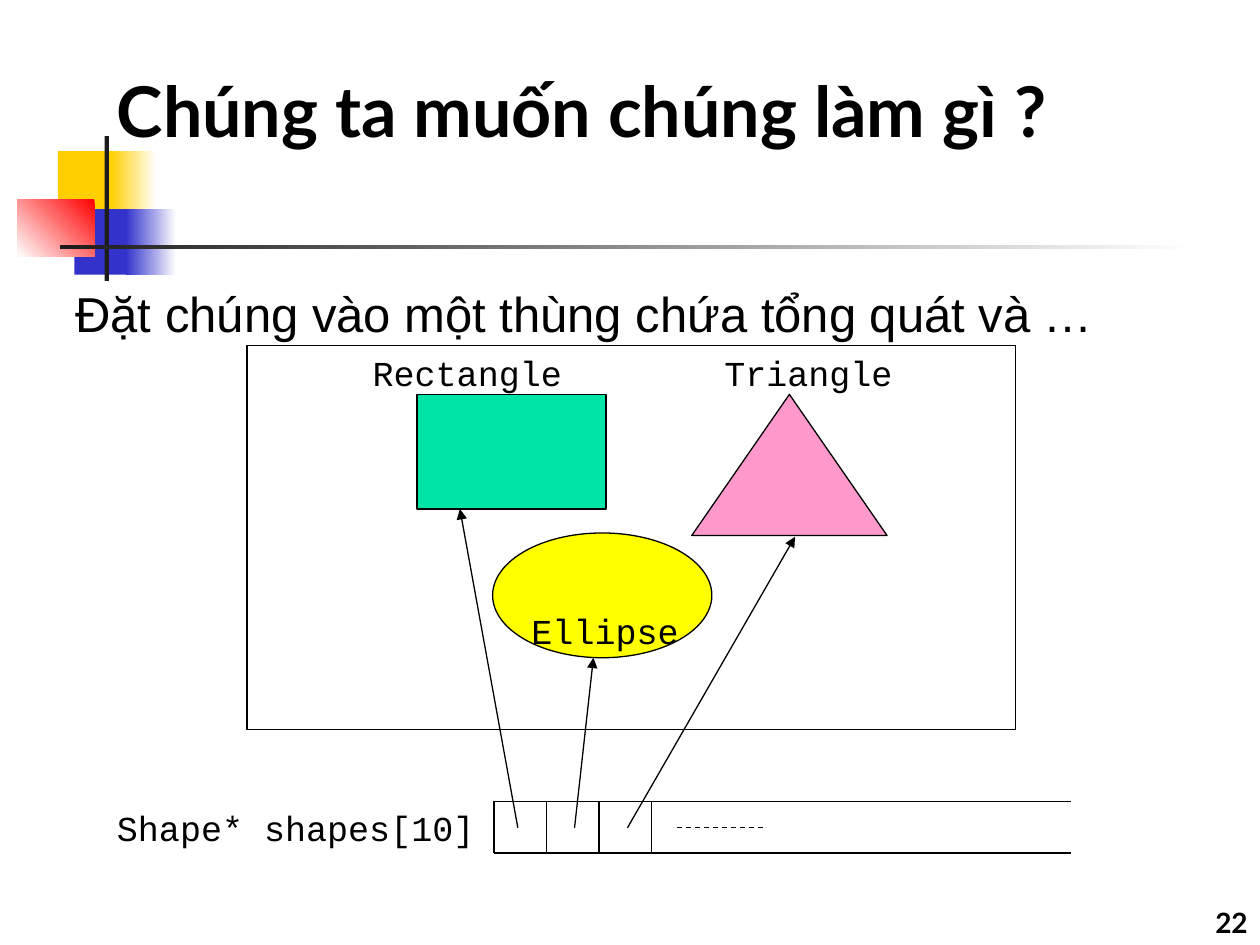
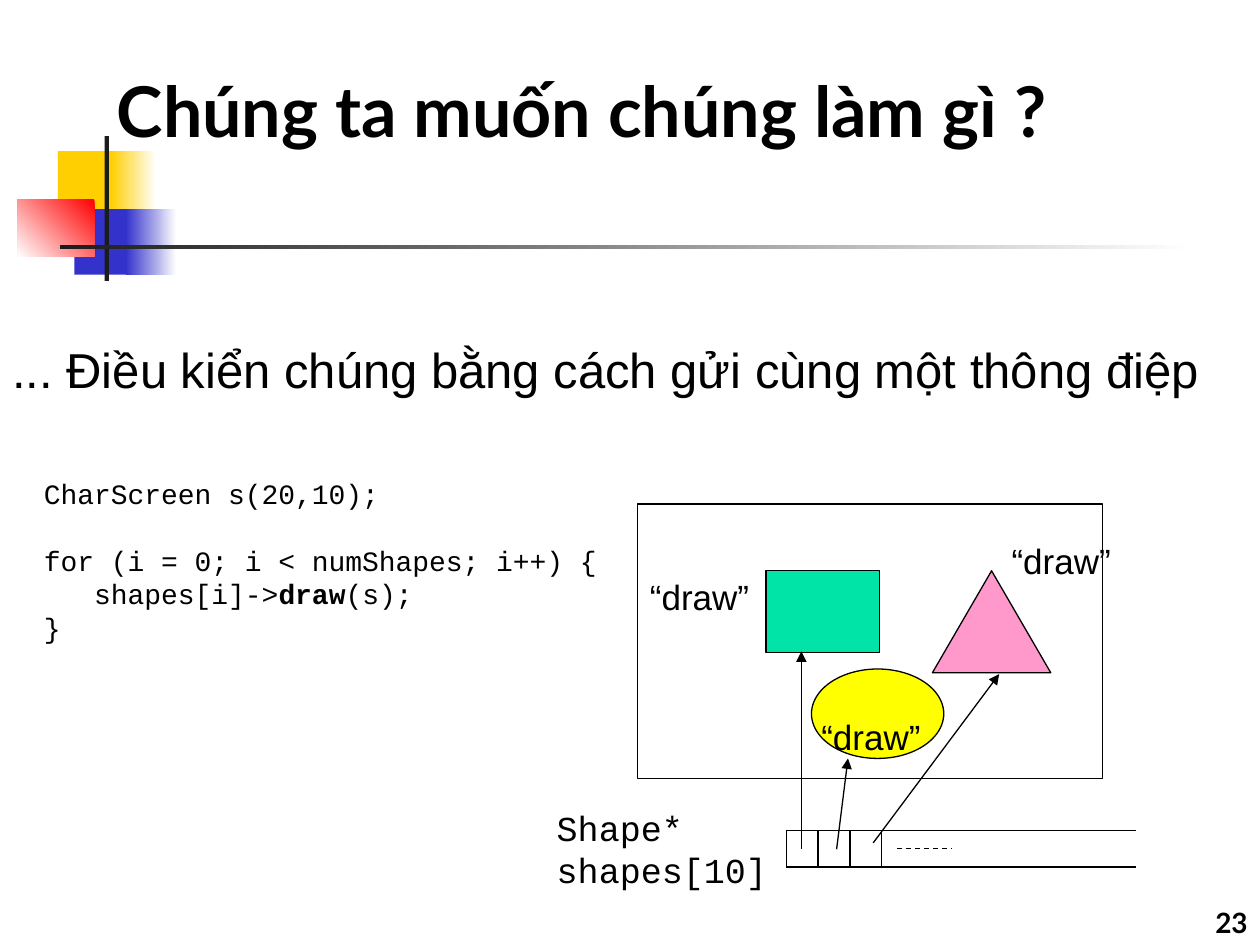
from lxml import etree
from pptx import Presentation
from pptx import util as u
from pptx.dml import color
from pptx.enum import dml, shapes, text
from pptx.oxml import ns

COLORS = {
    "ink": "000000", "bar": "1C1C1C", "white": "FFFFFF",
    "gold": "FFCF01", "blue": "3333CC", "red": "FF0000",
    "green": "00E4A8", "yellow": "FFFF00", "pink": "FF99CC",
}
WIDTH, HEIGHT = u.Inches(10), u.Inches(7.5)
COLUMN, ROW = WIDTH / 100, HEIGHT / 75
BODY, CODE, HEADING = "Arial", "Courier New", "Lato"
KINDS = shapes.MSO_SHAPE
TITLE = "Chúng ta muốn chúng làm gì ?"
DECORATION = [
    ((4.6, 12, 4.8, 5.2), "gold", None, 0),
    ((8.8, 12, 3.6, 5.2), "white", "gold", 180),
    ((5.9, 16.6, 4.6, 5.2), "blue", None, 0),
    ((10, 16.6, 4, 5.2), "white", "blue", 180),
    ((1.4, 15.8, 6.1, 4.6), "red", "white", 225),
    ((8.3, 10.8, 0.35, 11.5), "bar", None, 0),
    ((4.8, 19.45, 90, 0.35), "white", "bar", 180),
]
FIGURES = [
    (KINDS.RECTANGLE, "green"),
    (KINDS.OVAL, "yellow"),
    (KINDS.ISOSCELES_TRIANGLE, "pink"),
]


def rgb(name):
    return color.RGBColor.from_string(COLORS[name])


def across(columns):
    return u.Emu(round(columns * COLUMN))


def down(rows):
    return u.Emu(round(rows * ROW))


def place(box):
    left, top, width, height = box
    return across(left), down(top), across(width), down(height)


def add_figure(slide, kind, box, fill=None, fade=None, angle=0, outlined=True):
    shape = slide.shapes.add_shape(kind, *place(box))
    shape.shadow.inherit = False
    if fade:
        shape.fill.gradient()
        shape.fill.gradient_angle = angle
        for stop, name in zip(shape.fill.gradient_stops, (fill, fade)):
            stop.color.rgb = rgb(name)
    elif fill:
        shape.fill.solid()
        shape.fill.fore_color.rgb = rgb(fill)
    else:
        shape.fill.background()
    if outlined:
        shape.line.color.rgb = rgb("ink")
        shape.line.width = u.Pt(0.75)
    else:
        shape.line.fill.background()


def add_line(slide, start, end, arrow=False, dashed=False):
    line = slide.shapes.add_connector(
        shapes.MSO_CONNECTOR.STRAIGHT,
        across(start[0]), down(start[1]), across(end[0]), down(end[1]))
    line.line.color.rgb = rgb("ink")
    line.line.width = u.Pt(0.75)
    if dashed:
        line.line.dash_style = dml.MSO_LINE.DASH
    properties = line._element.spPr
    if arrow:
        etree.SubElement(properties.find(ns.qn("a:ln")), ns.qn("a:tailEnd"), type="triangle")
    etree.SubElement(properties, ns.qn("a:effectLst"))


def style(paragraph, size, name, bold=None):
    paragraph.font.size = u.Pt(size)
    paragraph.font.name = name
    paragraph.font.bold = bold
    paragraph.font.color.rgb = rgb("ink")


def add_frame(slide, box, anchor=text.MSO_ANCHOR.MIDDLE):
    frame = slide.shapes.add_textbox(*place(box)).text_frame
    frame.word_wrap = True
    frame.vertical_anchor = anchor
    return frame


def add_text(slide, box, words, size, name, bold=None, anchor=text.MSO_ANCHOR.MIDDLE,
             align=text.PP_ALIGN.LEFT, spacing=None):
    paragraph = add_frame(slide, box, anchor).paragraphs[0]
    paragraph.text = words
    paragraph.alignment = align
    paragraph.line_spacing = spacing
    style(paragraph, size, name, bold)


def add_code(slide, box, lines, size, pitch):
    frame = add_frame(slide, box)
    for index, (gap_lines, parts) in enumerate(lines):
        paragraph = frame.add_paragraph() if index else frame.paragraphs[0]
        paragraph.line_spacing = u.Pt(pitch)
        paragraph.space_before = u.Pt(gap_lines * pitch)
        style(paragraph, size, CODE)
        for words, bold in parts:
            run = paragraph.add_run()
            run.text = words
            if bold:
                run.font.bold = True


def add_pointer_array(slide, left, top, cell, height, right, dash):
    bottom = top + height
    for edge in (top, bottom):
        add_line(slide, (left, edge), (right, edge))
    for index in range(4):
        edge = left + index * cell
        add_line(slide, (edge, top), (edge, bottom))
    middle = top + height / 2
    add_line(slide, (dash[0], middle), (dash[1], middle), dashed=True)


def add_scene(slide, container, boxes, array, pointers):
    add_figure(slide, KINDS.RECTANGLE, container)
    for (kind, fill), box in zip(FIGURES, boxes):
        add_figure(slide, kind, box, fill)
    add_pointer_array(slide, **array)
    for start, end in pointers:
        add_line(slide, start, end, arrow=True)


def add_base_slide(presentation, number):
    slide = presentation.slides.add_slide(presentation.slide_layouts[6])
    for box, fill, fade, angle in DECORATION:
        add_figure(slide, KINDS.RECTANGLE, box, fill, fade, angle, outlined=False)
    add_text(slide, (8.3, 3.3, 88.5, 10.8), TITLE, 40, HEADING, bold=True)
    add_text(slide, (79.2, 70, 20.8, 5), str(number), 16, HEADING, bold=True,
             anchor=text.MSO_ANCHOR.BOTTOM, align=text.PP_ALIGN.RIGHT)
    return slide


def build_container_slide(presentation):
    slide = add_base_slide(presentation, 22)
    add_text(slide, (5, 20.8, 87.5, 8), "Đặt chúng vào một thùng chứa tổng quát và …", 28, BODY)
    add_scene(
        slide, (19.6, 27.4, 61, 30.5),
        [(33.1, 31.3, 15, 9.1), (39.1, 42.3, 17.4, 9.9), (54.9, 31.3, 15.5, 11.2)],
        dict(left=39.2, top=63.6, cell=4.17, height=4.1, right=85, dash=(53.7, 60.7)),
        [((41.1, 65.7), (36.5, 40.4)),
         ((45.6, 65.7), (47.1, 52.2)),
         ((49.8, 65.7), (63.1, 42.6))])
    for words, left, top in (("Rectangle", 28.6, 27.4),
                             ("Triangle", 56.5, 27.4),
                             ("Ellipse", 41.2, 47.9)):
        add_text(slide, (left, top, 18, 4.4), words, 20, CODE, anchor=text.MSO_ANCHOR.TOP)
    add_text(slide, (8.3, 61.7, 31.5, 8), "Shape* shapes[10]", 20, CODE)


def build_message_slide(presentation):
    slide = add_base_slide(presentation, 23)
    add_text(slide, (0, 25.3, 100, 8),
             "... Điều kiển chúng bằng cách gửi cùng một thông điệp", 28, BODY)
    add_code(slide, (2.5, 33.3, 48.1, 22.3), [
        (0, [("CharScreen s(20,10);", False)]),
        (1, [("for (i = 0; i < numShapes; i++) {", False)]),
        (0, [("   shapes[i]->", False), ("draw", True), ("(s);", False)]),
        (0, [("}", False)]),
    ], 16, 19.2)
    add_scene(
        slide, (50.6, 40, 36.9, 21.8),
        [(60.8, 45.3, 9, 6.5), (64.4, 53.1, 10.5, 7.1), (74, 45.3, 9.4, 8.1)],
        dict(left=62.4, top=65.9, cell=2.53, height=2.9, right=90.2, dash=(71.2, 75.5)),
        [((63.6, 67.4), (63.6, 51.7)),
         ((66.4, 67.4), (67.3, 60.2)),
         ((69.3, 66.9), (79.3, 53.5))])
    for left, top in ((64.2, 55.6), (50.6, 44.5), (79.3, 41.6)):
        add_text(slide, (left, top, 11.6, 5.7), "“draw”", 20, BODY)
    add_text(slide, (43.2, 64.5, 21.2, 5.7), "Shape* shapes[10]", 20, CODE, spacing=u.Pt(24))


def main():
    presentation = Presentation()
    presentation.slide_width, presentation.slide_height = WIDTH, HEIGHT
    build_container_slide(presentation)
    build_message_slide(presentation)
    presentation.save("out.pptx")


if __name__ == "__main__":
    main()
